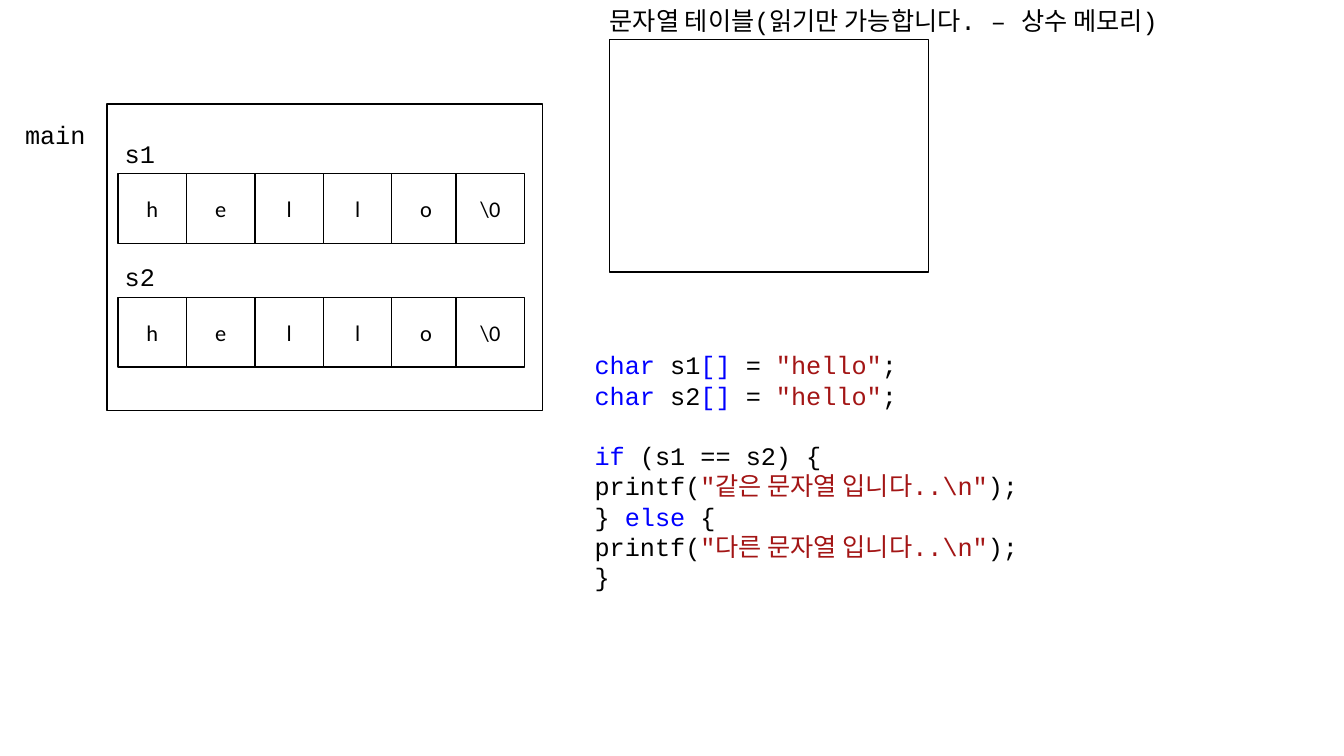
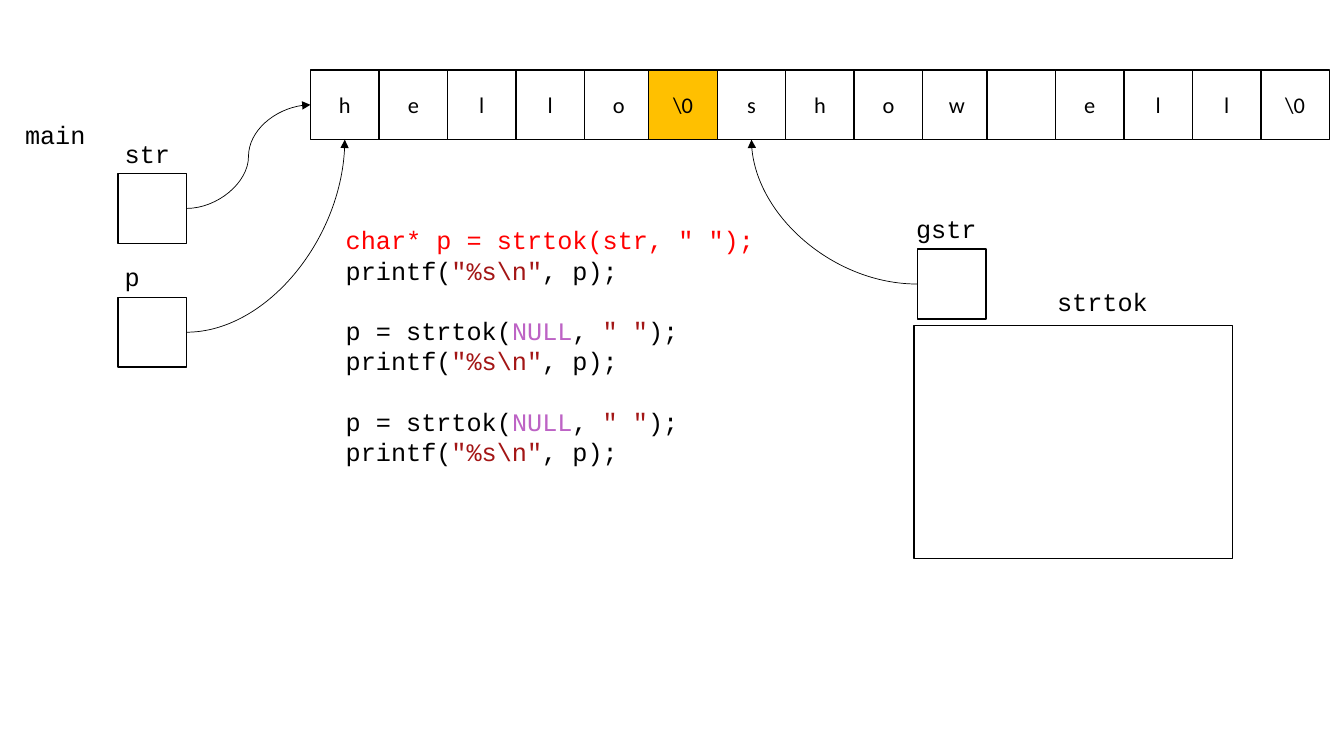
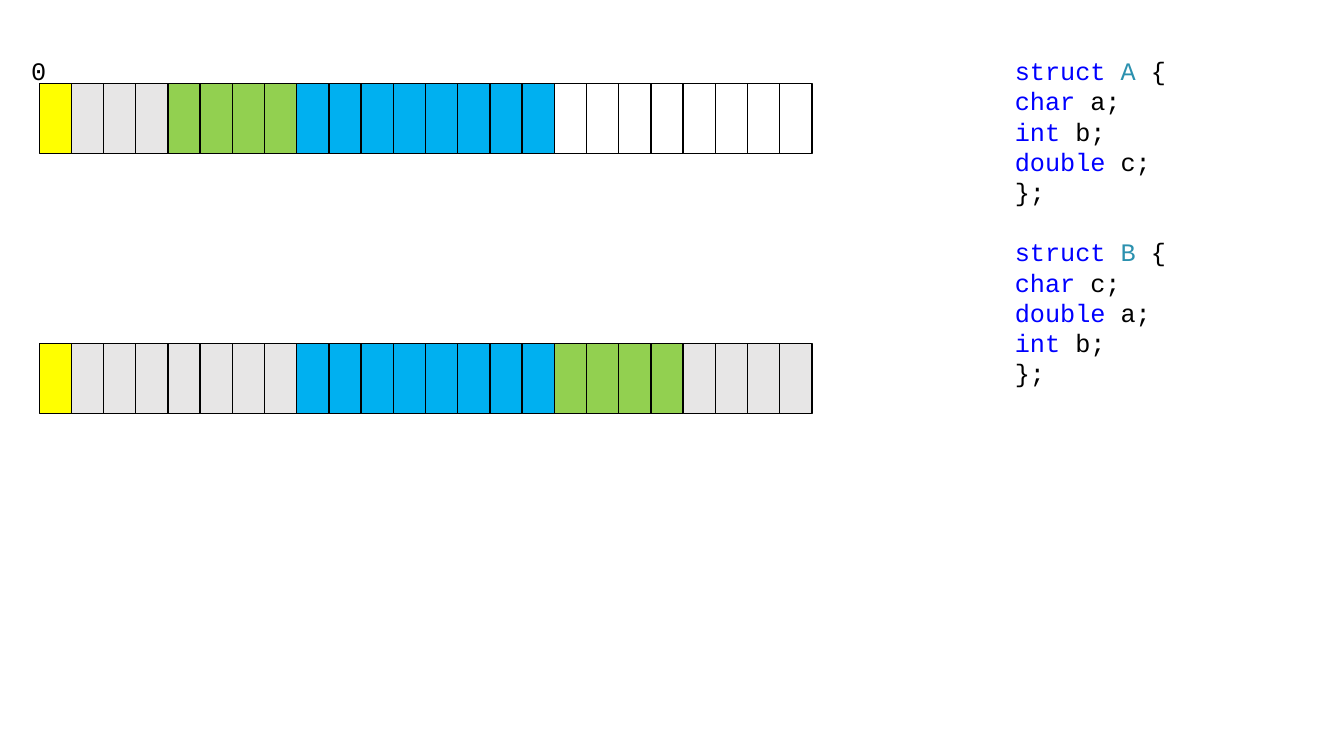
from lxml.etree import SubElement
from pptx import Presentation
from pptx.dml.color import RGBColor
from pptx.enum.shapes import MSO_CONNECTOR, MSO_SHAPE
from pptx.enum.text import MSO_ANCHOR, MSO_AUTO_SIZE, PP_ALIGN
from pptx.oxml.ns import qn
from pptx.util import Pt

BLACK, WHITE, RED = "000000", "FFFFFF", "FF0000"
YELLOW, GREY, GREEN, BLUE, ORANGE = "FFFF00", "E7E6E6", "92D050", "00B0F0", "FFC000"
KEYWORD, STRING, MACRO, TYPE = "0000FF", "A31515", "BD63C5", "2B91AF"
CODE_FONT = {"name": "Courier New", "size": Pt(18)}
CELL_FONT = {"name": "Calibri", "size": Pt(16)}
LINE_PITCH = 21.6
LABEL_HEIGHT = 28.8
CELL_WIDTH, CELL_HEIGHT, CELL_STEP = 49, 49.8, 48.9
GROUP_SIZE, GROUP_OVERLAP = 5, 2.9
BYTE_STEP = 23
STACK_LEFT, LABEL_LEFT = 84.2, 82
STACK_TOPS, LABEL_TOPS = (124, 212.4), (95, 183)
LEFT_SITE, BOTTOM_SITE, RIGHT_SITE = 1, 2, 3


def colour(value):
    """Turn a hex string into a colour."""
    return RGBColor.from_string(value)


def assign(target, values):
    """Set each named attribute of the target."""
    for name, value in values.items():
        setattr(target, name, value)


class MemoryDeck:
    """Draws memory diagrams and code on the current slide."""

    def __init__(self):
        """Start a widescreen presentation."""
        self.presentation = Presentation()
        assign(self.presentation, {"slide_width": Pt(960), "slide_height": Pt(540)})
        self.slide = None

    def new_slide(self):
        """Add a blank slide and make it current."""
        self.slide = self.presentation.slides.add_slide(self.presentation.slide_layouts[6])

    def run(self, paragraph, text, font, text_colour=BLACK):
        """Add one run of formatted text."""
        run = paragraph.add_run()
        run.text = text
        assign(run.font, font)
        run.font.color.rgb = colour(text_colour)

    def box(self, left, top, width, height, text="", fill=WHITE):
        """Draw an outlined rectangle with optional centred text."""
        shape = self.slide.shapes.add_shape(
            MSO_SHAPE.RECTANGLE, Pt(left), Pt(top), Pt(width), Pt(height))
        shape.shadow.inherit = False
        shape.fill.solid()
        shape.fill.fore_color.rgb = colour(fill)
        shape.line.color.rgb = colour(BLACK)
        shape.line.width = Pt(1)
        if text:
            shape.text_frame.vertical_anchor = MSO_ANCHOR.MIDDLE
            paragraph = shape.text_frame.paragraphs[0]
            paragraph.alignment = PP_ALIGN.CENTER
            self.run(paragraph, text, CELL_FONT)
        return shape

    def cells(self, left, top, texts, fills=None):
        """Draw a row of character cells and return them."""
        fills = fills or {}
        return [
            self.box(left + index * CELL_STEP - index // GROUP_SIZE * GROUP_OVERLAP,
                     top, CELL_WIDTH, CELL_HEIGHT, text, fills.get(index, WHITE))
            for index, text in enumerate(texts)]

    def byte_row(self, left, top, fields):
        """Draw consecutive bytes from pairs of fill and count."""
        fills = [fill for fill, count in fields for _ in range(count)]
        for index, fill in enumerate(fills):
            self.box(left + index * BYTE_STEP, top, BYTE_STEP, CELL_HEIGHT, fill=fill)

    def text_box(self, left, top, width, height, wrap):
        """Add an empty text box and return its text frame."""
        shape = self.slide.shapes.add_textbox(Pt(left), Pt(top), Pt(width), Pt(height))
        assign(shape.text_frame, {"word_wrap": wrap, "auto_size": MSO_AUTO_SIZE.SHAPE_TO_FIT_TEXT})
        return shape.text_frame

    def label(self, left, top, text, width=None):
        """Write a one-line label."""
        width = width or 10.8 * len(text) + 14.4
        paragraph = self.text_box(left, top, width, LABEL_HEIGHT, False).paragraphs[0]
        paragraph.line_spacing = Pt(LINE_PITCH)
        self.run(paragraph, text, CODE_FONT)

    def code(self, left, top, width, height, blocks):
        """Write blocks of coloured code lines with a gap between blocks."""
        frame = self.text_box(left, top, width, height, True)
        paragraph = frame.paragraphs[0]
        for block_index, block in enumerate(blocks):
            for line_index, line in enumerate(block):
                if block_index or line_index:
                    paragraph = frame.add_paragraph()
                gap = LINE_PITCH if block_index and not line_index else 0
                assign(paragraph, {"line_spacing": Pt(LINE_PITCH), "space_before": Pt(gap)})
                for text, text_colour in line:
                    self.run(paragraph, text, CODE_FONT, text_colour)

    def curve(self, start, start_site, end, end_site, preset="curvedConnector2"):
        """Join two shapes with a curved arrow."""
        connector = self.slide.shapes.add_connector(MSO_CONNECTOR.CURVE, 0, 0, 0, 0)
        connector.begin_connect(start, start_site)
        connector.end_connect(end, end_site)
        connector.line.color.rgb = colour(BLACK)
        connector.line.width = Pt(0.5)
        properties = connector._element.spPr
        properties.find(qn("a:prstGeom")).set("prst", preset)
        SubElement(properties.find(qn("a:ln")), qn("a:tailEnd"), type="triangle")
        SubElement(properties, qn("a:effectLst"))


def declare_string(name):
    """Return the code line that declares a hello array."""
    return [("char", KEYWORD), (f" {name}", BLACK), ("[]", KEYWORD), (" = ", BLACK),
            ('"hello"', STRING), (";", BLACK)]


def print_call(text, rest=");"):
    """Return a code line that calls printf."""
    return [("printf(", BLACK), (text, STRING), (rest, BLACK)]


def struct(name, members):
    """Return the code block of a struct."""
    return [[("struct ", KEYWORD), (name, TYPE), (" {", BLACK)],
            *[[(kind, KEYWORD), (f" {member};", BLACK)] for kind, member in members],
            [("};", BLACK)]]


deck = MemoryDeck()

deck.new_slide()
deck.box(76.5, 74.2, 311, 218.9)
deck.label(10.8, 82, "main")
for name, cell_top, label_top in zip(("s1", "s2"), STACK_TOPS, LABEL_TOPS):
    deck.label(LABEL_LEFT, label_top, name)
    deck.cells(STACK_LEFT, cell_top, [*"hello", "\\0"])
deck.box(435.6, 28, 227.5, 166.3)
deck.label(428.4, 0, "문자열 테이블(읽기만 가능합니다. – 상수 메모리)", 458)
deck.code(417.6, 246.2, 480, 181.4, [
    [declare_string("s1"), declare_string("s2")],
    [[("if", KEYWORD), (" (s1 == s2) {", BLACK)],
     print_call('"같은 문자열 입니다..\\n"'),
     [("} ", BLACK), ("else", KEYWORD), (" {", BLACK)],
     print_call('"다른 문자열 입니다..\\n"'),
     [("}", BLACK)]]])

deck.new_slide()
deck.label(10.8, 82, "main")
pointers = []
for name, cell_top, label_top in zip(("str", "p"), STACK_TOPS, LABEL_TOPS):
    deck.label(LABEL_LEFT, label_top, name)
    pointers += deck.cells(STACK_LEFT, cell_top, [""])
characters = deck.cells(221.8, 50, [*"hello", "\\0", *"show", "", *"ell", "\\0"], {5: ORANGE})
print_token = print_call('"%s\\n"', ", p);")
next_token = [("p = strtok(", BLACK), ("NULL", MACRO), (", ", BLACK),
              ('" "', STRING), (");", BLACK)]
deck.code(239.8, 157, 480, 225.4, [
    [[('char* p = strtok(str, " ");', RED)], print_token],
    [next_token, print_token],
    [next_token, print_token]])
deck.box(653, 232.6, 227.5, 166.3)
saved_pointer = deck.cells(655.2, 178, [""])[0]
deck.label(647.3, 149, "gstr")
deck.label(748, 201, "strtok")
deck.curve(pointers[0], RIGHT_SITE, characters[0], LEFT_SITE, "curvedConnector3")
deck.curve(pointers[1], RIGHT_SITE, characters[0], BOTTOM_SITE)
deck.curve(saved_pointer, LEFT_SITE, characters[6], BOTTOM_SITE)

deck.new_slide()
deck.code(717.8, 36, 213.8, 247, [
    struct("A", [("char", "a"), ("int", "b"), ("double", "c")]),
    struct("B", [("char", "c"), ("double", "a"), ("int", "b")])])
deck.byte_row(28, 59.8, [(YELLOW, 1), (GREY, 3), (GREEN, 4), (BLUE, 8), (WHITE, 8)])
deck.label(15.1, 36, "0")
deck.byte_row(28, 245.5, [(YELLOW, 1), (GREY, 7), (BLUE, 8), (GREEN, 4), (GREY, 4)])

deck.presentation.save("out.pptx")
